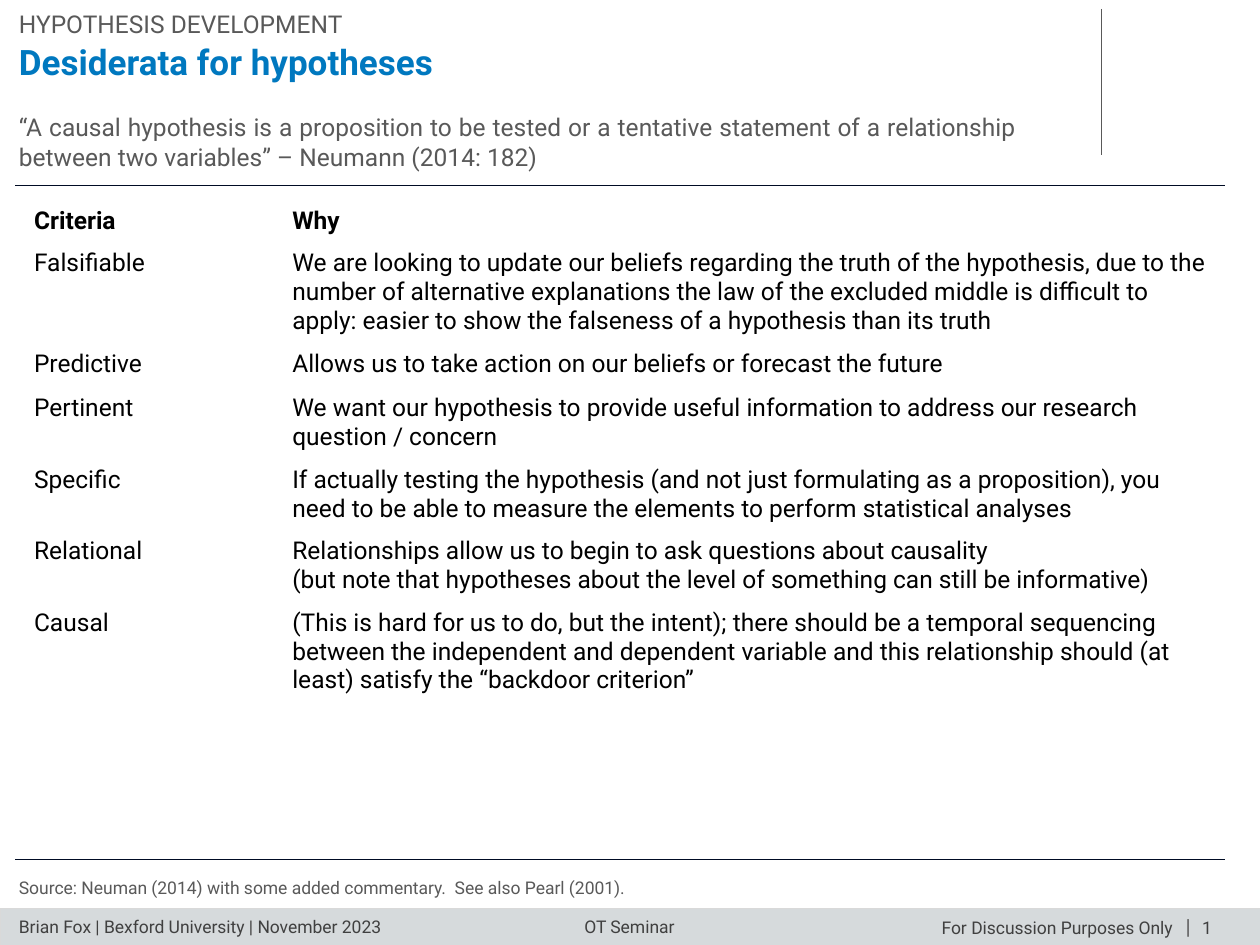
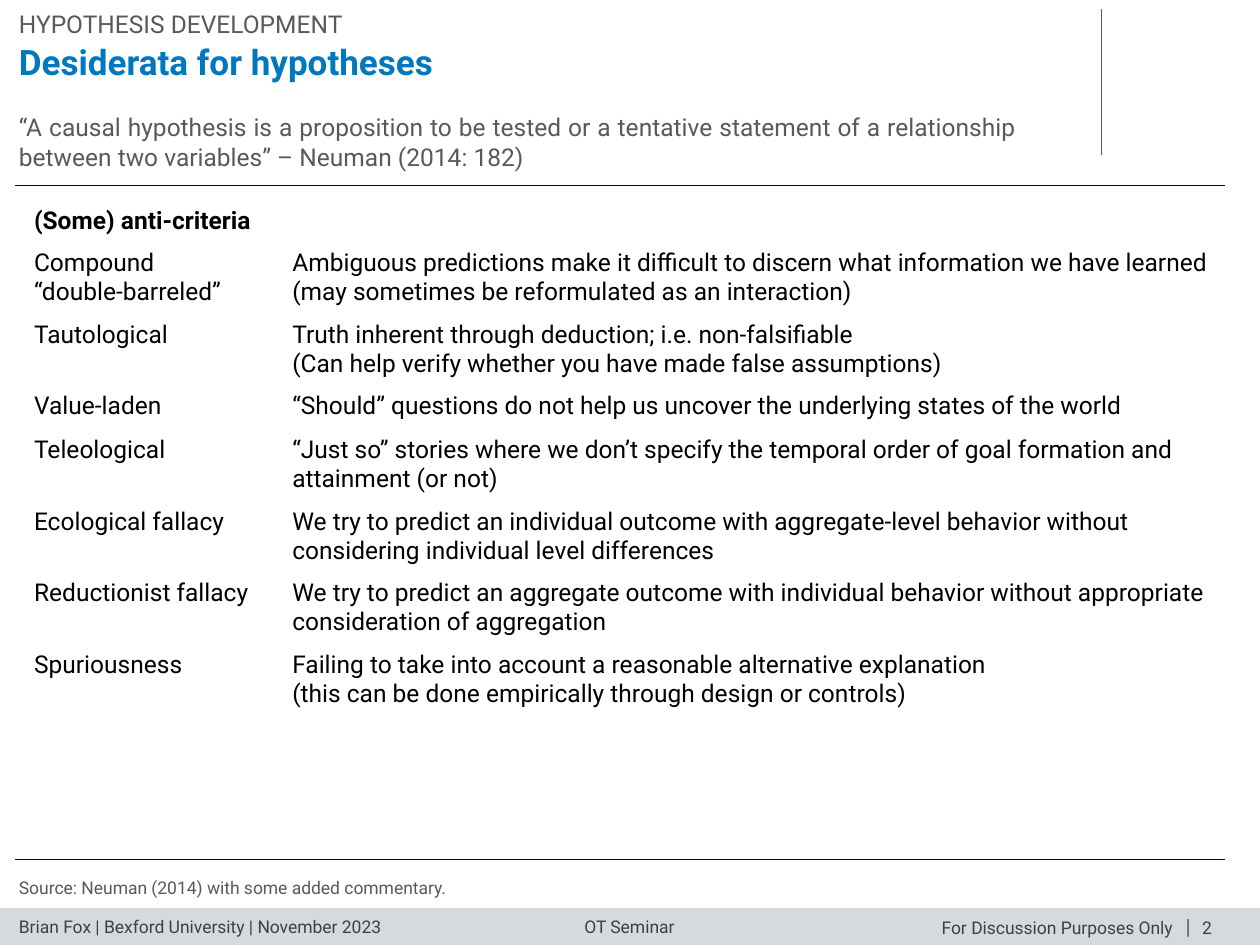
from lxml import etree
from pptx import Presentation, util as u
from pptx.dml.color import RGBColor
from pptx.enum import shapes, text
from pptx.oxml.ns import qn

# Content
QUOTE = ("“A causal hypothesis is a proposition to be tested or a tentative statement "
         "of a relationship between two variables” – {} (2014: 182)")
SOURCE = "Source: Neuman (2014) with some added commentary."

# Each row: lines of text it takes, left cell, right cell
PAGES = [
    {"author": "Neumann", "source": SOURCE + "  See also Pearl (2001).", "spare": 0,
     "head": ("Criteria", "Why"),
     "rows": [
         (3, "Falsifiable",
          "We are looking to update our beliefs regarding the truth of the hypothesis, "
          "due to the number of alternative explanations the law of the excluded middle "
          "is difficult to apply: easier to show the falseness of a hypothesis than its truth"),
         (1, "Predictive",
          "Allows us to take action on our beliefs or forecast the future"),
         (2, "Pertinent",
          "We want our hypothesis to provide useful information to address our research "
          "question / concern"),
         (2, "Specific",
          "If actually testing the hypothesis (and not just formulating as a proposition), "
          "you need to be able to measure the elements to perform statistical analyses"),
         (2, "Relational",
          "Relationships allow us to begin to ask questions about causality\n"
          "(but note that hypotheses about the level of something can still be informative)"),
         (3, "Causal",
          "(This is hard for us to do, but the intent); there should be a temporal sequencing "
          "between the independent and dependent variable and this relationship should "
          "(at least) satisfy the “backdoor criterion”"),
     ]},
    {"author": "Neuman", "source": SOURCE, "spare": 3,
     "head": ("(Some) anti-criteria", ""),
     "rows": [
         (2, "Compound\n“double-barreled”",
          "Ambiguous predictions make it difficult to discern what information we have learned\n"
          "(may sometimes be reformulated as an interaction)"),
         (2, "Tautological",
          "Truth inherent through deduction; i.e. non-falsifiable\n"
          "(Can help verify whether you have made false assumptions)"),
         (1, "Value-laden",
          "“Should” questions do not help us uncover the underlying states of the world"),
         (2, "Teleological",
          "“Just so” stories where we don’t specify the temporal order of goal formation "
          "and attainment (or not)"),
         (2, "Ecological fallacy",
          "We try to predict an individual outcome with aggregate-level behavior without "
          "considering individual level differences"),
         (2, "Reductionist fallacy",
          "We try to predict an aggregate outcome with individual behavior without "
          "appropriate consideration of aggregation"),
         (2, "Spuriousness",
          "Failing to take into account a reasonable alternative explanation\n"
          "(this can be done empirically through design or controls)"),
     ]},
]

# Colours and text formats
BLUE = RGBColor(0x00, 0x78, 0xBF)
NAVY = RGBColor(0x00, 0x0B, 0x24)
GREY = RGBColor(0x59, 0x59, 0x59)
DARK = RGBColor(0x40, 0x40, 0x40)
BLACK = RGBColor(0, 0, 0)
BAND = RGBColor(0xD6, 0xDA, 0xDC)
EDGE = RGBColor(0xD9, 0xD9, 0xD9)

FORMATS = {
    "title": {"size": 20, "bold": True, "color": BLUE},
    "lead": {"size": 14, "bold": False, "color": GREY},
    "note": {"size": 10, "bold": False, "color": GREY},
    "foot": {"size": 10, "bold": False, "color": DARK},
    "bar": {"size": 12, "bold": False, "color": GREY},
    "head": {"size": 14, "bold": True, "color": BLACK},
    "cell": {"size": 14, "bold": False, "color": BLACK},
}
LEFT, CENTER, RIGHT, JUST = (text.PP_ALIGN.LEFT, text.PP_ALIGN.CENTER,
                             text.PP_ALIGN.RIGHT, text.PP_ALIGN.JUSTIFY)
TOP, MID = text.MSO_ANCHOR.TOP, text.MSO_ANCHOR.MIDDLE

# Grid, in inches
WIDE, HIGH = 10, 7.5
EDGE_X = 0.15
BAND_H = 0.29
COLS = (2.05, 7.56)
TABLE = (0.17, 1.59)
LINE_H, PAD, MIN_H = 0.23, 0.1, 0.35


def style(frame, name, align=LEFT):
    form = FORMATS[name]
    for par in frame.paragraphs:
        par.alignment = align
        for run in par.runs:
            run.font.name = "Roboto"
            run.font.size = u.Pt(form["size"])
            run.font.bold = form["bold"]
            run.font.color.rgb = form["color"]
        if not par.runs:
            etree.SubElement(par._p, qn("a:endParaRPr"), sz=str(form["size"] * 100))


def label(slide, words, box, name, align=LEFT, anchor=TOP, wrap=True):
    frame = slide.shapes.add_textbox(*map(u.Inches, box)).text_frame
    frame.text = words
    opts = {"word_wrap": wrap, "vertical_anchor": anchor, "margin_left": 0,
            "margin_right": 0, "margin_top": 0, "margin_bottom": 0}
    for key, val in opts.items():
        setattr(frame, key, val)
    style(frame, name, align)


def rule(slide, ends, color):
    line = slide.shapes.add_connector(shapes.MSO_CONNECTOR.STRAIGHT, *map(u.Inches, ends))
    line.line.color.rgb = color
    line.line.width = u.Pt(0.75)
    etree.SubElement(line._element.spPr, qn("a:effectLst"))


def shell(slide, num):
    """Footer band, page number and the rules every slide has."""
    band = slide.shapes.add_shape(shapes.MSO_SHAPE.RECTANGLE, *map(
        u.Inches, (0, HIGH - BAND_H, WIDE, BAND_H)))
    band.shadow.inherit = False
    band.fill.solid()
    band.fill.fore_color.rgb = BAND
    band.line.color.rgb = EDGE
    band.line.width = u.Pt(0.25)
    for words, box, name, align, anchor in (
            (str(num), (9.54, 7.28, 0.17, 0.17), "foot", LEFT, MID),
            ("|", (9.41, 7.25, 0.04, 0.2), "bar", RIGHT, MID),
            ("Brian Fox | Bexford University | November 2023",
             (EDGE_X, 7.27, 2.94, 0.17), "foot", LEFT, TOP),
            ("OT Seminar", (4.62, 7.27, 0.75, 0.17), "foot", CENTER, TOP),
            ("For Discussion Purposes Only", (7.45, 7.28, 1.88, 0.17), "foot", CENTER, TOP)):
        label(slide, words, box, name, align, anchor, wrap=False)
    rule(slide, (8.74, 0.07, 8.74, 1.23), GREY)
    for y in (6.82, 1.47):
        rule(slide, (0.12, y, 9.72, y), NAVY)


def heads(slide, page):
    label(slide, "Desiderata for hypotheses", (EDGE_X, 0.32, 8.47, 0.34), "title")
    label(slide, "HYPOTHESIS DEVELOPMENT", (EDGE_X, 0.07, 8.47, 0.24), "lead", anchor=MID)
    label(slide, QUOTE.format(page["author"]), (EDGE_X, 0.89, 7.92, 0.47), "lead", JUST)
    label(slide, page["source"], (EDGE_X, 6.96, 7.92, 0.17), "note")


def grid(slide, page):
    rows = [(0, *page["head"])] + page["rows"] + [(1, "", "")] * page["spare"]
    highs = [max(MIN_H, PAD + LINE_H * n) if n else 0.32 for n, *_ in rows]
    box = (*TABLE, sum(COLS), sum(highs))
    table = slide.shapes.add_table(len(rows), len(COLS), *map(u.Inches, box)).table
    table.horz_banding = False
    for col, width in zip(table.columns, COLS):
        col.width = u.Inches(width)
    for i, (row, high, (_, *words)) in enumerate(zip(table.rows, highs, rows)):
        row.height = u.Inches(high)
        for cell, word in zip(row.cells, words):
            cell.fill.background()
            cell.text = word
            style(cell.text_frame, "cell" if i else "head")


def main():
    deck = Presentation()
    deck.slide_width, deck.slide_height = u.Inches(WIDE), u.Inches(HIGH)
    for num, page in enumerate(PAGES, 1):
        slide = deck.slides.add_slide(deck.slide_layouts[6])
        shell(slide, num)
        heads(slide, page)
        grid(slide, page)
    deck.save("out.pptx")


if __name__ == "__main__":
    main()
